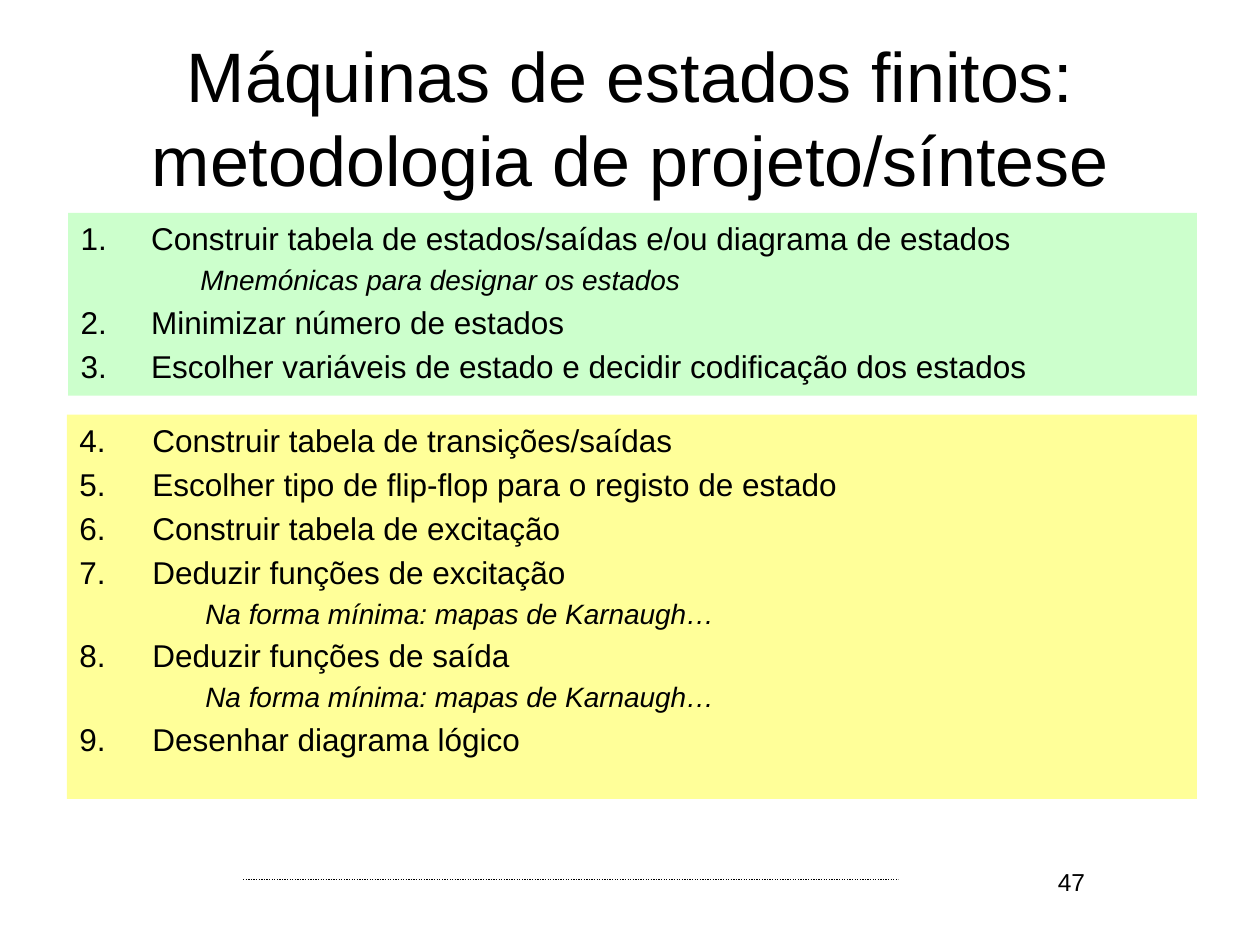
import pptx
import pptx.util
import pptx.dml.color
import pptx.enum.dml
import pptx.enum.shapes
import pptx.enum.text
import lxml.etree
from pptx.oxml.ns import qn

Inches, Pt = pptx.util.Inches, pptx.util.Pt
RGBColor = pptx.dml.color.RGBColor
ALIGN = pptx.enum.text.PP_ALIGN
BLACK = RGBColor(0x00, 0x00, 0x00)
GREEN = RGBColor(0xCC, 0xFF, 0xCC)
YELLOW = RGBColor(0xFF, 0xFF, 0x99)

# Content: each step is (level, text)
TITLE = "Máquinas de estados finitos: metodologia de projeto/síntese"
PAGE = "47"
MODEL = [
    (0, "Construir tabela de estados/saídas e/ou diagrama de estados"),
    (1, "Mnemónicas para designar os estados"),
    (0, "Minimizar número de estados"),
    (0, "Escolher variáveis de estado e decidir codificação dos estados"),
]
BUILD = [
    (0, "Construir tabela de transições/saídas"),
    (0, "Escolher tipo de flip-flop para o registo de estado"),
    (0, "Construir tabela de excitação"),
    (0, "Deduzir funções de excitação"),
    (1, "Na forma mínima: mapas de Karnaugh…"),
    (0, "Deduzir funções de saída"),
    (1, "Na forma mínima: mapas de Karnaugh…"),
    (0, "Desenhar diagrama lógico"),
]
# Panels: steps, first number, fill, box, indent of each level
PANELS = [
    (MODEL, 1, GREEN, (0.54, 1.69, 8.96, 1.45), (0.56, 0.95)),
    (BUILD, 4, YELLOW, (0.53, 3.29, 8.97, 3.05), (0.58, 1)),
]
SIZES = (18, 16)


def place(shape, box):
    shape.left, shape.top, shape.width, shape.height = map(Inches, box)


def style(para, size, italic=False):
    font = para.font
    font.name, font.size, font.italic = "Arial", Pt(size), italic
    font.color.rgb = BLACK


def indent(para, left, start=None):
    """Indent a step; number it from start, or leave it plain."""
    props = para._p.get_or_add_pPr()
    props.set("marL", str(Inches(left)))
    if start is None:
        props.set("indent", "0")
        lxml.etree.SubElement(props, qn("a:buNone"))
    else:
        props.set("indent", str(-Inches(left)))
        lxml.etree.SubElement(props, qn("a:buFont"), typeface="Arial")
        lxml.etree.SubElement(props, qn("a:buAutoNum"),
                              type="arabicPeriod", startAt=str(start))


def fill_panel(shape, steps, start, color, box, lefts):
    place(shape, box)
    shape.fill.solid()
    shape.fill.fore_color.rgb = color
    frame = shape.text_frame
    frame.auto_size = pptx.enum.text.MSO_AUTO_SIZE.NONE
    for i, (level, text) in enumerate(steps):
        para = frame.add_paragraph() if i else frame.paragraphs[0]
        para.text, para.level = text, level
        indent(para, lefts[level], None if level else start)
        style(para, SIZES[level], level == 1)


def main():
    deck = pptx.Presentation()
    deck.slide_width, deck.slide_height = Inches(10), Inches(7.5)
    slide = deck.slides.add_slide(deck.slide_layouts[3])
    shapes = slide.shapes

    # Title
    title = shapes.title
    place(title, (0.5, 0.3, 9, 1.25))
    frame = title.text_frame
    frame.text = TITLE
    frame.auto_size = pptx.enum.text.MSO_AUTO_SIZE.NONE
    frame.vertical_anchor = pptx.enum.text.MSO_ANCHOR.MIDDLE
    frame.paragraphs[0].alignment = ALIGN.CENTER
    style(frame.paragraphs[0], 40)

    # Numbered panels
    for key, panel in enumerate(PANELS, 1):
        fill_panel(slide.placeholders[key], *panel)

    # Footer rule and page number
    rule = shapes.add_connector(
        pptx.enum.shapes.MSO_CONNECTOR.STRAIGHT,
        Inches(1.93), Inches(6.98), Inches(7.13), Inches(6.98))
    rule.line.color.rgb = BLACK
    rule.line.width = Pt(0.75)
    rule.line.dash_style = pptx.enum.dml.MSO_LINE.ROUND_DOT
    lxml.etree.SubElement(rule._element.spPr, qn("a:effectLst"))

    page = shapes.add_textbox(*map(Inches, (7.52, 6.83, 1.19, 0.52)))
    page.text_frame.word_wrap = True
    para = page.text_frame.paragraphs[0]
    para.text, para.alignment = PAGE, ALIGN.RIGHT
    style(para, 14)

    deck.save("out.pptx")


if __name__ == "__main__":
    main()
